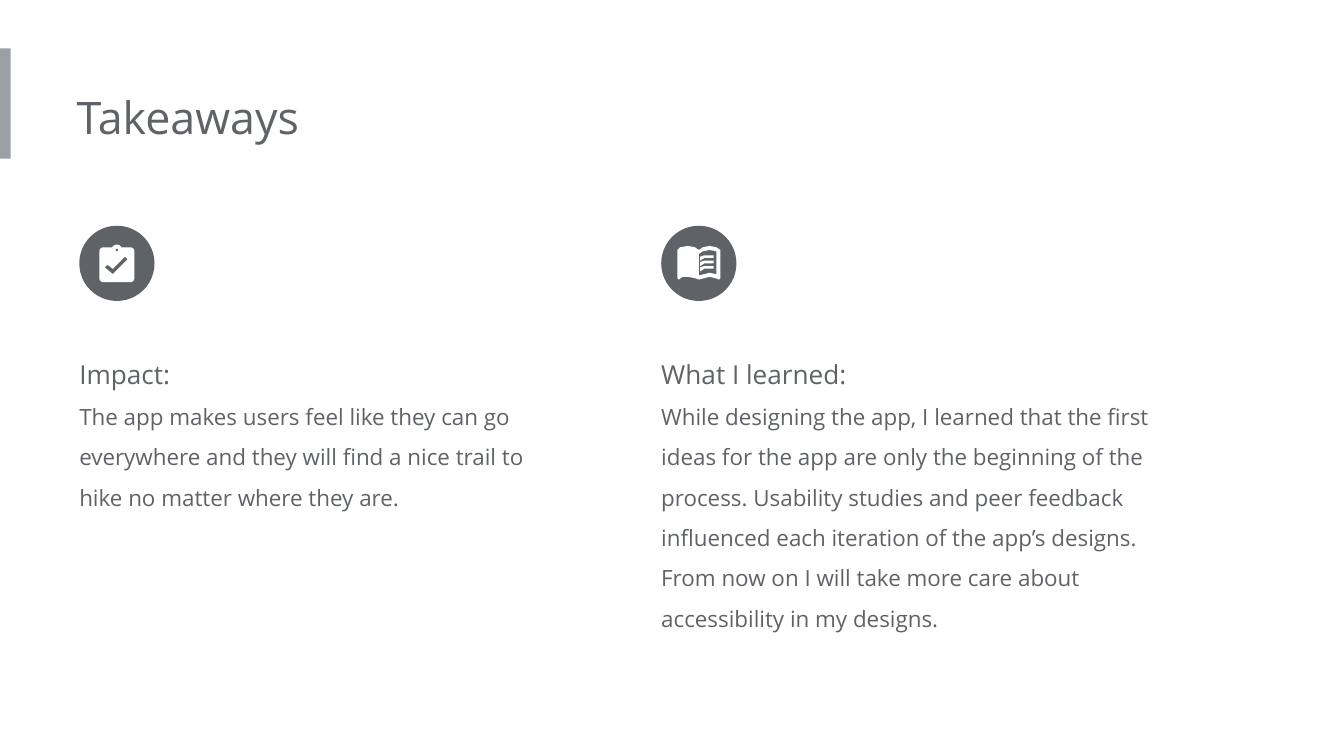
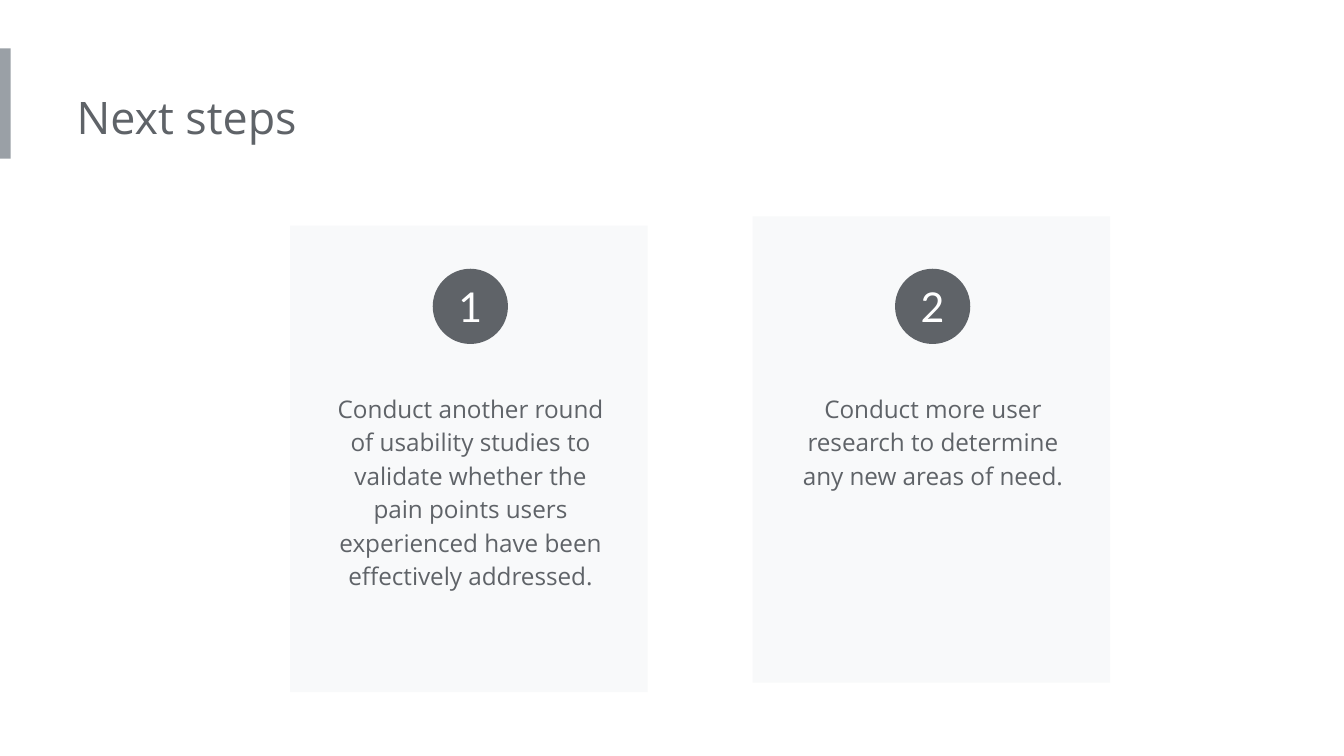
from dataclasses import dataclass
from math import cos, radians, sin

from pptx import Presentation
from pptx.dml.color import RGBColor
from pptx.enum.shapes import MSO_SHAPE as Preset
from pptx.enum.text import MSO_ANCHOR as Anchor, MSO_AUTO_SIZE as AutoSize, PP_ALIGN as Align
from pptx.util import Inches, Pt

COLORS = {"text": "5F6368", "band": "9AA0A6", "card": "F8F9FA", "white": "FFFFFF"}
BODY_FONT = "Open Sans"
NUMBER_FONT = "Lato"
DISC_SIZE = 0.56

Point = tuple[float, float]
Contour = list[Point]


@dataclass(frozen=True)
class Takeaway:
    left: float
    height: float
    heading: str
    body: str
    icon: list[list[Contour]]


@dataclass(frozen=True)
class Step:
    left: float
    top: float
    text_height: float
    number: str
    body: str


def arc(x: float, y: float, radius: float, start: int, end: int) -> Contour:
    steps = 12
    angles = [radians(start + (end - start) * i / steps) for i in range(steps + 1)]
    return [(x + radius * cos(a), y + radius * sin(a)) for a in angles]


CLIPBOARD = [[
    arc(0.77, 1.87, 0.03, 180, 270) + arc(0.87, 1.86, 0.04, 210, 330)
    + arc(0.97, 1.87, 0.03, 270, 360) + arc(0.97, 2.07, 0.03, 0, 90)
    + arc(0.77, 2.07, 0.03, 90, 180),
    arc(0.87, 1.86, 0.01, 0, 360),
    [(0.84, 2.04), (0.78, 1.99), (0.8, 1.97), (0.84, 2), (0.93, 1.91), (0.95, 1.93)],
]]

BOOK_COVER = [
    (5.04, 1.86), (5.06, 1.84), (5.12, 1.83), (5.17, 1.84), (5.2, 1.86),
    (5.23, 1.84), (5.28, 1.83), (5.33, 1.84), (5.36, 1.86), (5.36, 2.07),
    (5.35, 2.08), (5.32, 2.07), (5.28, 2.06), (5.24, 2.07), (5.2, 2.08),
    (5.17, 2.07), (5.12, 2.06), (5.08, 2.06), (5.05, 2.08), (5.04, 2.07),
]
BOOK_PAGE = [
    (5.2, 1.89), (5.23, 1.87), (5.28, 1.86), (5.33, 1.87),
    (5.33, 2.04), (5.28, 2.03), (5.24, 2.04), (5.2, 2.05),
]
BOOK_LINE = [
    (5.21, 1.91), (5.24, 1.9), (5.31, 1.9), (5.31, 1.92),
    (5.27, 1.92), (5.24, 1.92), (5.21, 1.94),
]
BOOK = [[BOOK_COVER, BOOK_PAGE]] + [
    [[(x, y + 0.04 * row) for x, y in BOOK_LINE]] for row in range(3)
]

TAKEAWAYS = [
    Takeaway(0.59, 1.45, "Impact:",
             "The app makes users feel like they can go everywhere and they will find "
             "a nice trail to hike no matter where they are.", CLIPBOARD),
    Takeaway(4.92, 2.35, "What I learned:",
             "While designing the app, I learned that the first ideas for the app are only "
             "the beginning of the process. Usability studies and peer feedback influenced "
             "each iteration of the app’s designs. From now on I will take more care about "
             "accessibility in my designs.", BOOK),
]

STEPS = [
    Step(2.16, 1.68, 1.93, "1",
         "Conduct another round of usability studies to validate whether the pain points "
         "users experienced have been effectively addressed."),
    Step(5.6, 1.61, 1.18, "2",
         "Conduct more user research to determine any new areas of need."),
]


def paint(shape, color: str):
    shape.shadow.inherit = False
    shape.fill.solid()
    shape.fill.fore_color.rgb = RGBColor.from_string(COLORS[color])
    shape.line.fill.background()
    return shape


def add_block(page, preset: Preset, left: float, top: float,
              width: float, height: float, color: str):
    return paint(page.shapes.add_shape(
        preset, Inches(left), Inches(top), Inches(width), Inches(height)), color)


def add_disc(page, left: float, top: float):
    return add_block(page, Preset.OVAL, left, top, DISC_SIZE, DISC_SIZE, "text")


def add_outline(page, contours: list[Contour]) -> None:
    paths = [[(Inches(x), Inches(y)) for x, y in contour] for contour in contours]
    builder = page.shapes.build_freeform(*paths[0][0])
    builder.add_line_segments(paths[0][1:])
    for path in paths[1:]:
        builder.move_to(*path[0])
        builder.add_line_segments(path[1:])
    paint(builder.convert_to_shape(), "white")


def set_insets(frame, left: float, others: float) -> None:
    frame.margin_left = Inches(left)
    frame.margin_top = frame.margin_right = frame.margin_bottom = Inches(others)


def style(para, size: int, align: Align = Align.LEFT, spacing: float = 1.0,
          font: str = BODY_FONT, color: str = "text") -> None:
    para.alignment = align
    para.line_spacing = spacing
    para.font.name = font
    para.font.size = Pt(size)
    para.font.color.rgb = RGBColor.from_string(COLORS[color])


def add_text(page, left: float, top: float, width: float, height: float,
             lines: list[tuple[str, int]], align: Align, spacing: float,
             inset: float) -> None:
    box = page.shapes.add_textbox(Inches(left), Inches(top), Inches(width), Inches(height))
    frame = box.text_frame
    frame.word_wrap = True
    frame.auto_size = AutoSize.SHAPE_TO_FIT_TEXT
    set_insets(frame, inset, 0.1)
    frame.text = "\n".join(text for text, _ in lines)
    for para, (_, size) in zip(frame.paragraphs, lines):
        style(para, size, align, spacing)


def add_page(deck, heading: str):
    page = deck.slides.add_slide(deck.slide_layouts[5])
    add_block(page, Preset.RECTANGLE, 0, 0.36, 0.08, 0.82, "band")
    title = page.shapes.title
    title.left, title.top = Inches(0.57), Inches(0.57)
    title.width, title.height = Inches(5.39), Inches(0.6)
    frame = title.text_frame
    frame.text = heading
    frame.word_wrap = True
    frame.auto_size = AutoSize.SHAPE_TO_FIT_TEXT
    frame.vertical_anchor = Anchor.TOP
    set_insets(frame, 0, 0.1)
    style(frame.paragraphs[0], 24)
    return page


def add_takeaway(page, item: Takeaway) -> None:
    add_text(page, item.left, 2.45, 3.77, item.height,
             [(item.heading, 14), (item.body, 12)], Align.LEFT, 1.5, 0)
    add_disc(page, item.left, 1.68)
    for contours in item.icon:
        add_outline(page, contours)


def add_step(page, step: Step) -> None:
    add_block(page, Preset.RECTANGLE, step.left, step.top, 2.66, 3.47, "card")
    add_text(page, step.left + 0.22, 2.8, 2.24, step.text_height,
             [(step.body, 13)], Align.CENTER, 1.15, 0.1)
    frame = add_disc(page, step.left + 1.06, 2).text_frame
    set_insets(frame, 0, 0)
    frame.vertical_anchor = Anchor.MIDDLE
    frame.text = step.number
    style(frame.paragraphs[0], 22, Align.CENTER, font=NUMBER_FONT, color="white")


def main() -> None:
    deck = Presentation()
    deck.slide_width = Inches(10)
    deck.slide_height = deck.slide_width * 9 // 16
    page = add_page(deck, "Takeaways")
    for item in TAKEAWAYS:
        add_takeaway(page, item)
    page = add_page(deck, "Next steps")
    for step in STEPS:
        add_step(page, step)
    deck.save("out.pptx")


if __name__ == "__main__":
    main()
